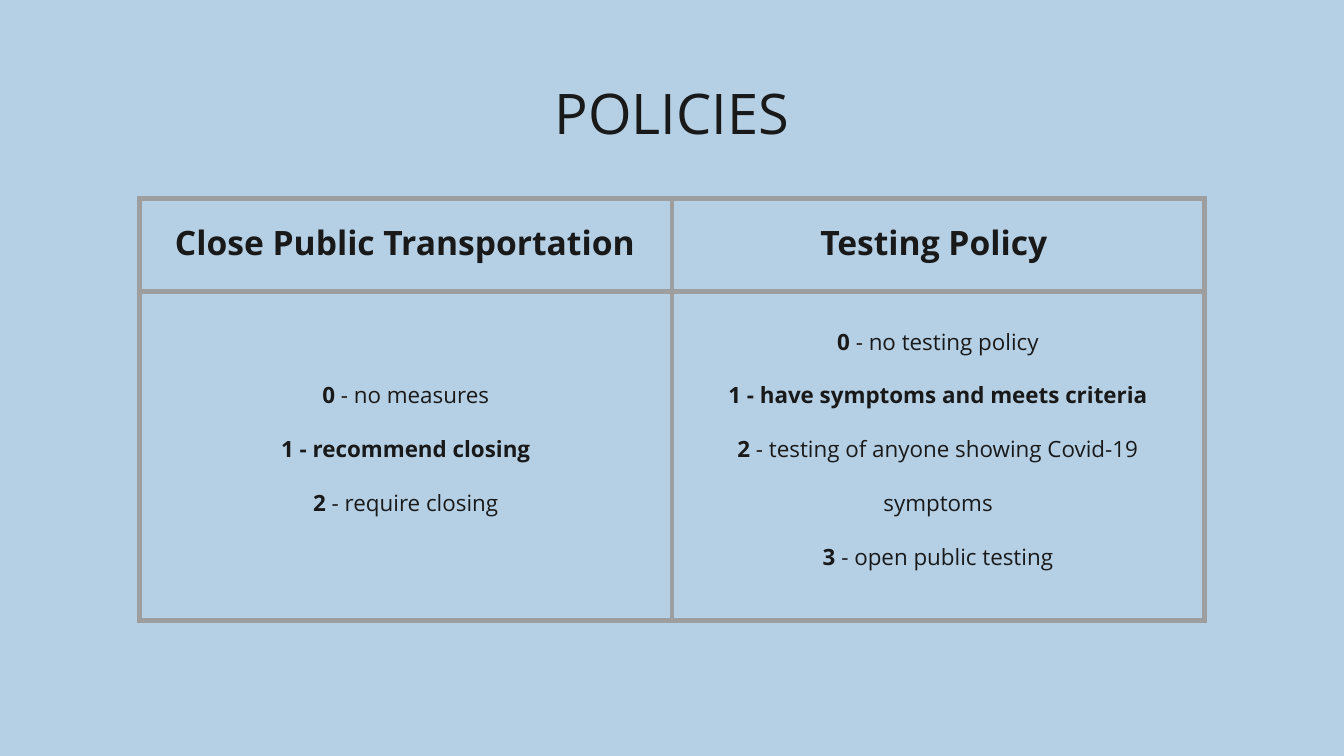
from lxml.etree import SubElement
from pptx import Presentation
from pptx.dml.color import RGBColor
from pptx.enum.text import MSO_ANCHOR, PP_ALIGN
from pptx.oxml import parse_xml
from pptx.oxml.ns import nsdecls, qn
from pptx.util import Cm, Pt

BACKGROUND = RGBColor(0xB5, 0xD0, 0xE5)
INK = RGBColor(0x19, 0x19, 0x19)
BORDER = RGBColor(0x9E, 0x9E, 0x9E)
FONT = "Open Sans"

TRANSPORT_LEVELS = [
    [("0", True), (" - no measures", False)],
    [("1 - recommend closing", True)],
    [("2", True), (" - require closing", False)],
]
TESTING_LEVELS = [
    [("0", True), (" - no testing policy", False)],
    [("1 - have symptoms and meets criteria", True)],
    [("2", True), (" - testing of anyone showing Covid-19 symptoms", False)],
    [("3", True), (" - open public testing", False)],
]


def add_text(s, paragraphs, left, top, width, height, *, size,
             anchor=MSO_ANCHOR.TOP, spacing=None):
    sp = s.shapes.add_textbox(Cm(left), Cm(top), Cm(width), Cm(height))
    tf = sp.text_frame
    tf.word_wrap = True
    tf.vertical_anchor = anchor
    tf.margin_left = tf.margin_right = Cm(0.25)
    tf.margin_top = tf.margin_bottom = Cm(0.25)
    for i, runs in enumerate(paragraphs):
        p = tf.add_paragraph() if i else tf.paragraphs[0]
        p.alignment = PP_ALIGN.CENTER
        p.line_spacing = spacing
        for text, bold in runs:
            r = p.add_run()
            r.text = text
            r.font.name = FONT
            r.font.size = Pt(size)
            r.font.bold = bold
            r.font.color.rgb = INK


def add_header(s, text, left, width):
    add_text(s, [[(text, True)]], left, 3.66, width, 1.55, size=18,
             anchor=MSO_ANCHOR.BOTTOM)


def add_levels(s, levels, left, top, width, height):
    add_text(s, levels, left, top, width, height, size=12, spacing=2.0)


def set_borders(cell, width):
    tcPr = cell._tc.get_or_add_tcPr()
    for i, side in enumerate(("lnL", "lnR", "lnT", "lnB")):
        ln = parse_xml(f'<a:{side} {nsdecls("a")} w="{Pt(width)}"/>')
        fill = SubElement(ln, qn("a:solidFill"))
        SubElement(fill, qn("a:srgbClr"), val=str(BORDER))
        tcPr.insert(i, ln)


def add_grid(s, left, top, col_widths, row_heights):
    frame = s.shapes.add_table(
        len(row_heights), len(col_widths), Cm(left), Cm(top),
        Cm(sum(col_widths)), Cm(sum(row_heights)))
    table = frame.table
    table.first_row = table.horz_banding = False
    for column, width in zip(table.columns, col_widths):
        column.width = Cm(width)
    for row, height in zip(table.rows, row_heights):
        row.height = Cm(height)
    for cell in table.iter_cells():
        cell.fill.background()
        set_borders(cell, 3)


def main():
    prs = Presentation()
    prs.slide_width, prs.slide_height = Cm(25.4), Cm(14.29)
    s = prs.slides.add_slide(prs.slide_layouts[6])
    s.background.fill.solid()
    s.background.fill.fore_color.rgb = BACKGROUND

    add_grid(s, 2.64, 3.76, [10.06, 10.06], [1.75, 6.22])
    add_text(s, [[("POLICIES", False)]], 2.0, 1.24, 21.4, 1.6, size=30)
    add_header(s, "Close Public Transportation", 2.84, 9.63)
    add_header(s, "Testing Policy", 13.79, 7.72)
    add_levels(s, TRANSPORT_LEVELS, 3.81, 6.45, 7.72, 3.18)
    add_levels(s, TESTING_LEVELS, 12.7, 5.44, 10.06, 5.18)

    prs.save("out.pptx")


if __name__ == "__main__":
    main()
